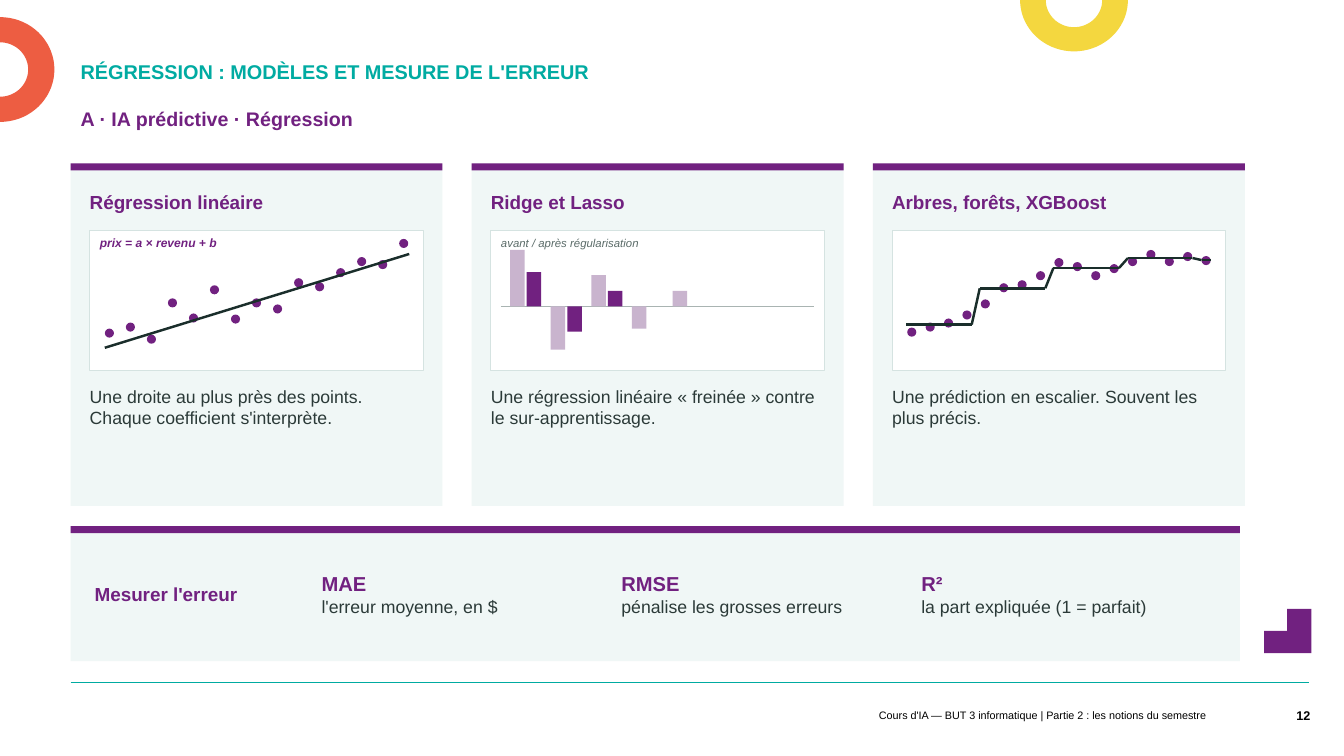
import math
import pptx
import pptx.util
import pptx.dml.color
import pptx.enum.shapes
import pptx.enum.text
import pptx.oxml.ns
import lxml.etree

HUES = {
    "plum": "712180", "lilac": "C9B4CE", "teal": "00ABA2", "rule": "00ABA1",
    "red": "ED5D42", "gold": "F4D73F", "mint": "F0F7F6", "white": "FFFFFF",
    "edge": "D5E3E1", "axis": "A9B4B2", "ink": "1A2E2B", "text": "2B3A38",
    "grey": "5A6B68", "black": "000000",
}
CELL = pptx.util.Inches(0.1)
COLS, ROWS = 133.33, 75
LEFT, STEP, WIDE = 7, 40 - 0.2, 36.9
PAD = 1.9
INNER = WIDE - 2 * PAD
SHAPE = pptx.enum.shapes.MSO_SHAPE
ALIGN = pptx.enum.text.PP_ALIGN
ANCHOR = pptx.enum.text.MSO_ANCHOR


def grid(*cells):
    return [round(cell * CELL) for cell in cells]


def hue(name):
    return pptx.dml.color.RGBColor.from_string(HUES[name])


def paint(shape, fill, edge=None):
    shape.shadow.inherit = False
    shape.fill.solid()
    shape.fill.fore_color.rgb = hue(fill)
    if edge:
        shape.line.color.rgb = hue(edge)
        shape.line.width = pptx.util.Pt(0.75)
    else:
        shape.line.fill.background()


def block(slide, box, fill, edge=None, kind=SHAPE.RECTANGLE):
    paint(slide.shapes.add_shape(kind, *grid(*box)), fill, edge)


def outline(slide, spots, fill):
    dots = [grid(*spot) for spot in spots]
    pen = slide.shapes.build_freeform(*dots[0])
    pen.add_line_segments(dots[1:], close=True)
    paint(pen.convert_to_shape(), fill)


def ring(slide, mid, outer, inner, first, fill):
    def arc(size, turns):
        return [(mid[0] + size[0] * math.cos(math.radians(turn)),
                 mid[1] + size[1] * math.sin(math.radians(turn))) for turn in turns]
    turns = range(first, first + 181, 5)
    outline(slide, arc(outer, turns) + arc(inner, reversed(turns)), fill)


def line(slide, start, end, color, width):
    link = slide.shapes.add_connector(
        pptx.enum.shapes.MSO_CONNECTOR.STRAIGHT, *grid(*start, *end))
    link.line.color.rgb = hue(color)
    link.line.width = pptx.util.Pt(width)
    props = link._element.spPr
    lxml.etree.SubElement(props, pptx.oxml.ns.qn("a:effectLst"))


def write(para, words, size, color, bold=False, slant=False):
    run = para.add_run()
    run.text = words
    font = run.font
    font.name = "Arial"
    font.size = pptx.util.Pt(size)
    font.bold = bold
    font.italic = slant
    font.color.rgb = hue(color)


def label(slide, box, rows, anchor=ANCHOR.TOP, align=ALIGN.LEFT, inset=(0, 0, 0, 0)):
    frame = slide.shapes.add_textbox(*grid(*box)).text_frame
    frame.word_wrap = True
    frame.vertical_anchor = anchor
    (frame.margin_left, frame.margin_top,
     frame.margin_right, frame.margin_bottom) = grid(*inset)
    for at, row in enumerate(rows):
        para = frame.add_paragraph() if at else frame.paragraphs[0]
        para.alignment = align
        write(para, *row)


def head(holder, box, words, size, color, anchor, space):
    holder.left, holder.top, holder.width, holder.height = grid(*box)
    frame = holder.text_frame
    frame.word_wrap = True
    frame.auto_size = pptx.enum.text.MSO_AUTO_SIZE.NONE
    frame.vertical_anchor = anchor
    para = frame.paragraphs[0]
    props = para._p.get_or_add_pPr()
    props.set("marL", "0")
    props.set("indent", "0")
    lxml.etree.SubElement(props, pptx.oxml.ns.qn("a:buNone"))
    para.alignment = ALIGN.LEFT
    para.line_spacing = space
    para.space_before = pptx.util.Pt(0)
    write(para, words, size, color, True)


def panel(slide, left, top, wide, high):
    block(slide, (left, top, wide, high), "mint")
    block(slide, (left, top, wide, 0.7), "plum")


def card(slide, col, name, note, plot):
    left = LEFT + col * STEP
    edge = left + PAD
    panel(slide, left, 16.2, WIDE, 34)
    label(slide, (edge, 17.7, INNER, 4.6), [(name, 13.5, "plum", True)], ANCHOR.MIDDLE)
    block(slide, (edge, 22.9, INNER, 13.9), "white", "edge")
    plot(slide, edge)
    label(slide, (edge, 38.3, INNER, 10.8), [(note, 12.6, "text")])


def dots(slide, left, last, tops):
    step = (last - left) / (len(tops) - 1)
    for at, top in enumerate(tops):
        block(slide, (left + at * step, top, 0.9, 0.9), "plum", kind=SHAPE.OVAL)


def linear(slide, edge):
    dots(slide, edge + 1.5, edge + 30.7,
         [32.6, 32, 33.2, 29.6, 31.1, 28.3, 31.2, 29.6, 30.2, 27.6, 28, 26.6, 25.5, 25.8, 23.7])
    line(slide, (edge + 1.5, 34.5), (edge + 31.7, 25.2), "ink", 1.75)
    label(slide, (edge + 1, 23.4, 31.2, 2.6),
          [("prix = a × revenu + b", 8.6, "plum", True, True)])


def ridge(slide, edge):
    base = 30.4
    line(slide, (edge + 1, base), (edge + 32.1, base), "axis", 1)
    pairs = [(5.6, 3.4), (-4.3, -2.5), (3.1, 1.55), (-2.2, 0), (1.55, 0)]
    for at, pair in enumerate(pairs):
        for side, size in enumerate(pair):
            if size:
                left = edge + 1.9 + at * 4.03 + side * 1.65
                box = (left, base - max(size, 0), 1.45, abs(size))
                block(slide, box, ("lilac", "plum")[side])
    label(slide, (edge + 1, 23.4, 31.2, 2.6),
          [("avant / après régularisation", 8.1, "grey", False, True)])


def trees(slide, edge):
    dots(slide, edge + 1.5, edge + 30.7,
         [32.5, 32, 31.6, 30.8, 29.7, 28.1, 27.8, 26.9, 25.6,
          26, 26.9, 26.2, 25.5, 24.8, 25.5, 25, 25.4])
    stairs = [(1.4, 32.2), (7.9, 32.2), (8.7, 28.6), (15.2, 28.6), (16, 26.6),
              (22.5, 26.6), (23.4, 25.6), (29.8, 25.6), (30.7, 25.8), (31.6, 25.8)]
    spots = [(edge + across, down) for across, down in stairs]
    for start, end in zip(spots, spots[1:]):
        line(slide, start, end, "ink", 1.75)


def scores(slide):
    panel(slide, LEFT, 52.2, 116, 13.4)
    label(slide, (9.4, 53.3, 23, 11.3),
          [("Mesurer l'erreur", 13.5, "plum", True)], ANCHOR.MIDDLE)
    terms = [("MAE", "l'erreur moyenne, en $"),
             ("RMSE", "pénalise les grosses erreurs"),
             ("R²", "la part expliquée (1 = parfait)")]
    for at, (term, sense) in enumerate(terms):
        label(slide, (31.9 + at * 29.75, 53.3, 28.3, 11.3),
              [(term, 14.4, "plum", True), (sense, 12.6, "text")], ANCHOR.MIDDLE)


def decor(slide):
    ring(slide, (106.55, 0), (5.35, 5.1), (2.8, 2.7), 0, "gold")
    line(slide, (LEFT, 67.7), (129.9, 67.7), "rule", 0.5)
    ring(slide, (0, 6.9), (5.4, 5.2), (2.8, 2.7), -90, "red")
    outline(slide, [(127.7, 60.4), (130.1, 60.4), (130.1, 64.8),
                    (125.4, 64.8), (125.4, 62.6), (127.7, 62.6)], "plum")


def main():
    deck = pptx.Presentation()
    deck.slide_width, deck.slide_height = grid(COLS, ROWS)
    slide = deck.slides.add_slide(deck.slide_layouts[1])
    decor(slide)
    head(slide.shapes.title, (LEFT, 5.4, 97.2, 3.4),
         "RÉGRESSION : MODÈLES ET MESURE DE L'ERREUR",
         14.2, "teal", ANCHOR.BOTTOM, pptx.util.Pt(16.7))
    head(slide.placeholders[1], (LEFT, 10.4, 97.2, 4.6),
         "A · IA prédictive · Régression", 14, "plum", ANCHOR.TOP, 0.9)
    label(slide, (54.3, 69.8, 66.3, 2.3),
          [("Cours d'IA — BUT 3 informatique | Partie 2 : les notions du semestre", 7.7, "black")],
          ANCHOR.MIDDLE, ALIGN.RIGHT, (1, 0.5, 1, 0.5))
    label(slide, (124.5, 69, 5.5, 4), [("12", 9, "black", True)],
          ANCHOR.MIDDLE, ALIGN.RIGHT, (1, 0.5, 0, 0.5))
    cards = [
        ("Régression linéaire",
         "Une droite au plus près des points. Chaque coefficient s'interprète.", linear),
        ("Ridge et Lasso",
         "Une régression linéaire « freinée » contre le sur-apprentissage.", ridge),
        ("Arbres, forêts, XGBoost",
         "Une prédiction en escalier. Souvent les plus précis.", trees),
    ]
    for col, parts in enumerate(cards):
        card(slide, col, *parts)
    scores(slide)
    deck.save("out.pptx")


if __name__ == "__main__":
    main()
